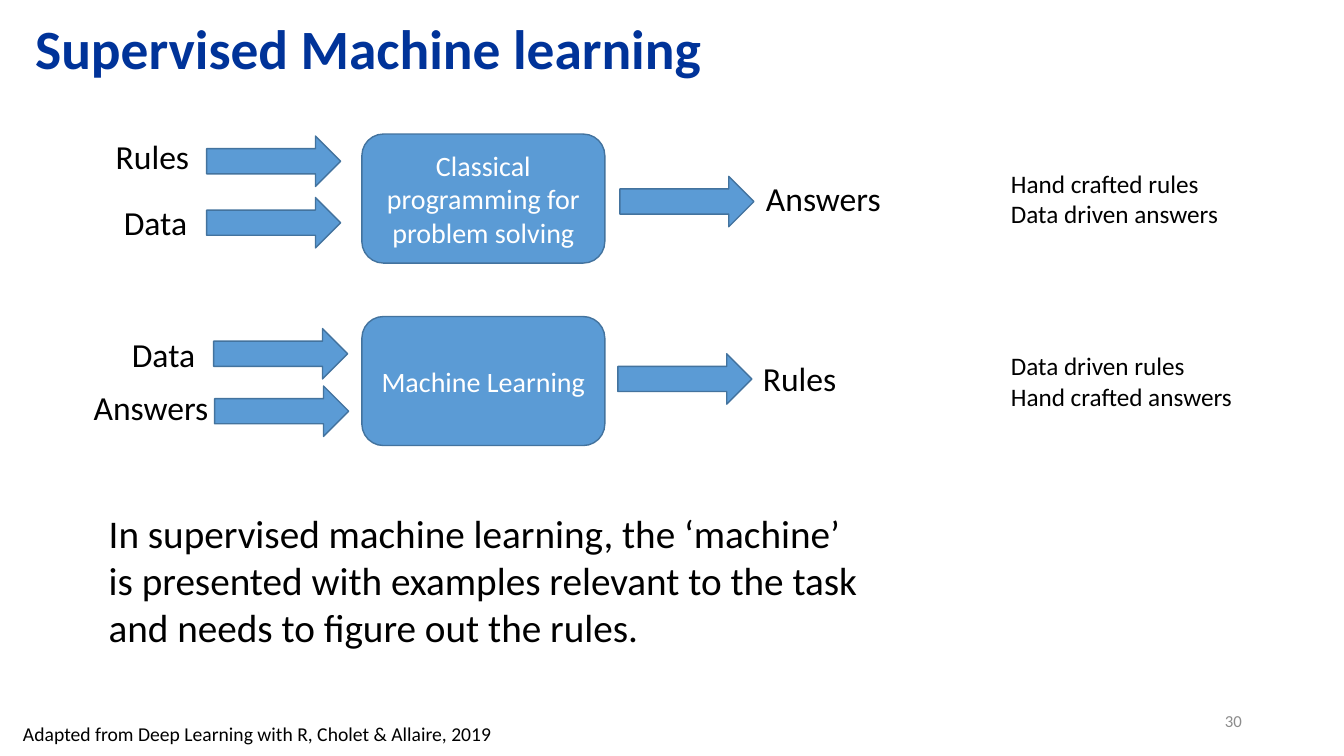
from dataclasses import dataclass
from typing import NamedTuple

from pptx import Presentation
from pptx.dml.color import RGBColor
from pptx.enum.shapes import MSO_SHAPE
from pptx.enum.text import MSO_ANCHOR, MSO_AUTO_SIZE, PP_ALIGN
from pptx.util import Inches, Pt

ROUND_RECT, ARROW = MSO_SHAPE.ROUNDED_RECTANGLE, MSO_SHAPE.RIGHT_ARROW
LEFT, CENTER, RIGHT = PP_ALIGN.LEFT, PP_ALIGN.CENTER, PP_ALIGN.RIGHT
TOP, MIDDLE = MSO_ANCHOR.TOP, MSO_ANCHOR.MIDDLE
FIT, FIXED = MSO_AUTO_SIZE.SHAPE_TO_FIT_TEXT, MSO_AUTO_SIZE.NONE

# Grid of tenth-inch columns and rows
COLS, ROWS = 133.33, 75
CELL = Inches(0.1)


@dataclass(frozen=True)
class Theme:
    font: str = "Calibri"
    title: str = "003399"
    text: str = "000000"
    page: str = "8C8C8C"
    fill: str = "5B9BD5"
    line: str = "43739E"
    on_fill: str = "FFFFFF"
    title_size: float = 39.6
    body_size: float = 28
    label_size: float = 24
    box_size: float = 20
    note_size: float = 18
    source_size: float = 14
    page_size: float = 12


THEME = Theme()


class Area(NamedTuple):
    col: float
    row: float
    cols: float
    rows: float


class Text(NamedTuple):
    lines: tuple[str, ...]
    area: Area
    size: float
    color: str = THEME.text
    bold: bool = False
    align: PP_ALIGN = LEFT
    anchor: MSO_ANCHOR = TOP
    wrap: bool = False
    fit: MSO_AUTO_SIZE = FIT
    spacing: float = 1.0


class Link(NamedTuple):
    """A label with its arrow, each placed by column and row."""
    word: str
    label_col: float
    label_row: float
    arrow_col: float
    arrow_row: float


class Flow(NamedTuple):
    name: str
    row: float
    links: tuple[Link, ...]
    note: tuple[str, ...]
    note_cols: float


# Content
LABEL_COLS = {"Rules": 9.4, "Data": 8.4, "Answers": 13.5}
FLOWS = (
    Flow("Classical programming for problem solving", 13.3,
         (Link("Rules", 10.5, 13, 20.5, 13.5),
          Link("Data", 11.3, 19.5, 20.5, 19.6),
          Link("Answers", 75, 17.2, 61.5, 17.5)),
         ("Hand crafted rules", "Data driven answers"), 22.8),
    Flow("Machine Learning", 31.4,
         (Link("Data", 12.1, 32.6, 21.2, 32.6),
          Link("Answers", 8.3, 37.9, 21.3, 38.3),
          Link("Rules", 74.7, 35, 61.3, 35.1)),
         ("Data driven rules", "Hand crafted answers"), 24.3),
)
TEXTS = (
    Text(("Supervised Machine learning",), Area(2.5, 2.1, 115, 6.1), THEME.title_size,
         THEME.title, bold=True, anchor=MIDDLE, wrap=True, fit=FIXED, spacing=0.9),
    Text(("In supervised machine learning, the ‘machine’ is presented with examples "
          "relevant to the task and needs to figure out the rules.",),
         Area(9.8, 50, 76.3, 15.1), THEME.body_size, wrap=True),
    Text(("Adapted from Deep Learning with R, Cholet & Allaire, 2019",),
         Area(1.3, 71.1, 49, 3.4), THEME.source_size),
    Text(("30",), Area(94.2, 69.5, 30, 4), THEME.page_size, THEME.page,
         align=RIGHT, anchor=MIDDLE, wrap=True, fit=FIXED),
)


def place(area: Area) -> list[int]:
    return [round(v * CELL) for v in area]


def apply(target, formats: dict) -> None:
    for name, value in formats.items():
        setattr(target, name, value)


def write(sp, text: Text) -> None:
    tf = sp.text_frame
    apply(tf, {"word_wrap": text.wrap, "auto_size": text.fit,
               "vertical_anchor": text.anchor})
    for i, line in enumerate(text.lines):
        p = tf.add_paragraph() if i else tf.paragraphs[0]
        apply(p, {"alignment": text.align, "line_spacing": text.spacing})
        r = p.add_run()
        r.text = line
        apply(r.font, {"name": THEME.font, "size": Pt(text.size), "bold": text.bold})
        r.font.color.rgb = RGBColor.from_string(text.color)


def add_text(s, text: Text) -> None:
    write(s.shapes.add_textbox(*place(text.area)), text)


def add_block(s, kind: MSO_SHAPE, area: Area):
    sp = s.shapes.add_shape(kind, *place(area))
    sp.shadow.inherit = False
    sp.fill.solid()
    sp.fill.fore_color.rgb = RGBColor.from_string(THEME.fill)
    sp.line.color.rgb = RGBColor.from_string(THEME.line)
    sp.line.width = Pt(1)
    return sp


def add_flow(s, flow: Flow) -> None:
    # Process box
    area = Area(35.9, flow.row, 24.1, 12.8)
    write(add_block(s, ROUND_RECT, area),
          Text((flow.name,), area, THEME.box_size, THEME.on_fill, align=CENTER,
               anchor=MIDDLE, wrap=True, fit=FIXED))
    # Inputs and output
    for link in flow.links:
        add_block(s, ARROW, Area(link.arrow_col, link.arrow_row, 13.3, 5))
        label = Area(link.label_col, link.label_row, LABEL_COLS[link.word], 5)
        add_text(s, Text((link.word,), label, THEME.label_size))
    # Side note
    note = Area(99.3, flow.row + 2.9, flow.note_cols, 7.1)
    add_text(s, Text(flow.note, note, THEME.note_size))


def main() -> None:
    prs = Presentation()
    apply(prs, {"slide_width": round(COLS * CELL), "slide_height": ROWS * CELL})
    s = prs.slides.add_slide(prs.slide_layouts[6])
    for flow in FLOWS:
        add_flow(s, flow)
    for text in TEXTS:
        add_text(s, text)
    prs.save("out.pptx")


if __name__ == "__main__":
    main()
